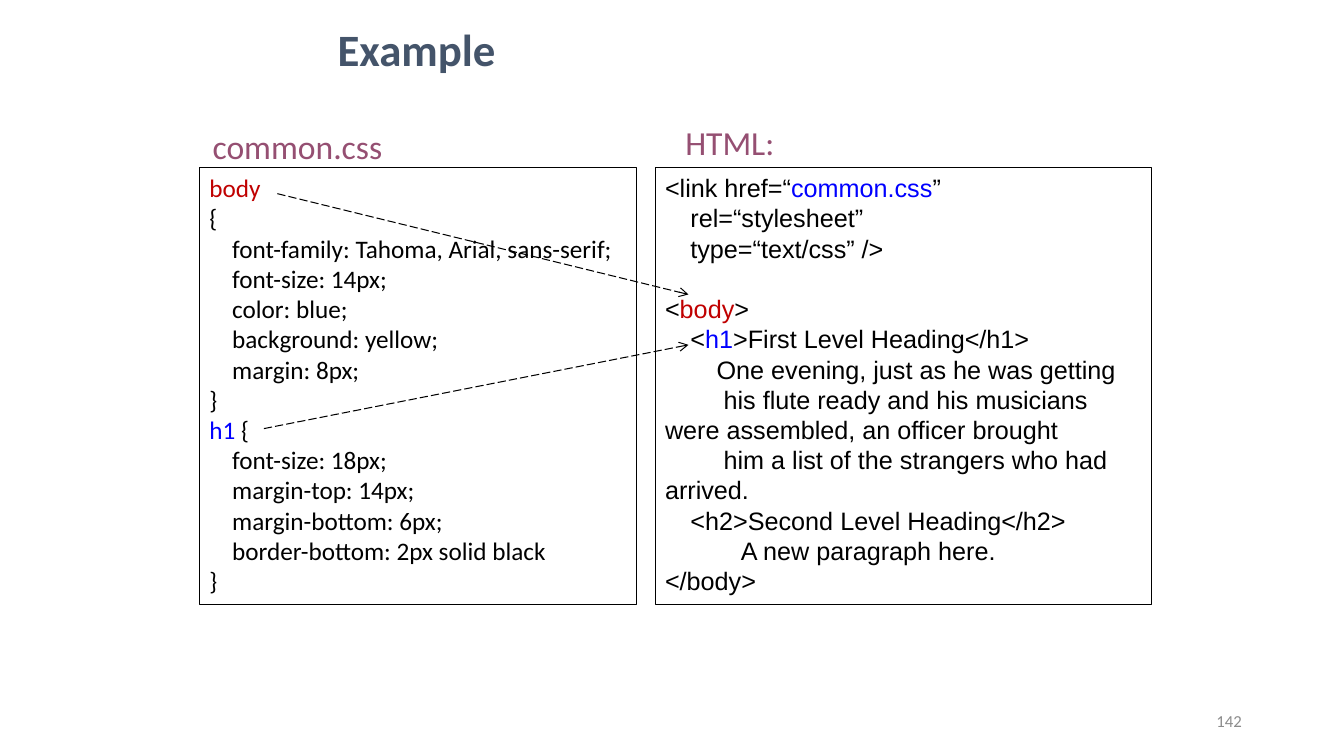
"""Build the slide that links a style sheet to its HTML page."""
from lxml import etree
from pptx import Presentation
from pptx import util as u
from pptx.dml.color import RGBColor
from pptx.enum import dml, shapes, text
from pptx.oxml.ns import qn

COLORS = {
    "ink": "000000",
    "body": "C00000",
    "link": "0000FF",
    "label": "954F72",
    "title": "44546A",
    "number": "8C8C8C",
}
LINE_PITCH = u.Pt(21.6)
CODE_TABS = (0.64, 1.27, 1.91)
STORY_TABS = (1.3, 2.54, 3.84, 5.08)

CSS = """body
{
    font-family: Tahoma, Arial, sans-serif;
    font-size: 14px;
    color: blue;
    background: yellow;
    margin: 8px;
}
h1 {
    font-size: 18px;
    margin-top: 14px;
    margin-bottom: 6px;
    border-bottom: 2px solid black
}"""
CSS_MARKS = {0: ("body", "body"), 8: ("h1", "link")}

HTML = """<link href=“common.css”
\trel=“stylesheet”
\ttype=“text/css” />
<body>
\t<h1>First Level Heading</h1>
\tOne evening, just as he was getting
\t his flute ready and his musicians \t were assembled, an officer brought
\t him a list of the strangers who had\tarrived.
\t<h2>Second Level Heading</h2>
\t\t\tA new paragraph here.
</body>"""
HTML_MARKS = {0: ("common.css", "link"), 3: ("body", "body"), 4: ("h1", "link")}
HTML_BODY = 3
HTML_STORY = (5, 6, 7)


def style_run(run, font_name, size, color, bold=False):
    """Set the font of one run."""
    run.font.name = font_name
    run.font.size = u.Pt(size)
    run.font.bold = bold
    run.font.color.rgb = RGBColor.from_string(COLORS[color])


def set_tabs(paragraph, stops):
    """Give a paragraph left tab stops, in centimetres."""
    tab_list = etree.SubElement(paragraph._p.get_or_add_pPr(), qn("a:tabLst"))
    for stop in stops:
        etree.SubElement(tab_list, qn("a:tab"), pos=str(u.Cm(stop)), algn="l")


def add_code(slide, left, width, code, marks, font_name):
    """Add a framed listing with marked words and return its paragraphs."""
    panel = slide.shapes.add_shape(
        shapes.MSO_SHAPE.RECTANGLE, u.Cm(left), u.Cm(4.22), u.Cm(width), u.Cm(11.02))
    panel.shadow.inherit = False
    panel.fill.background()
    panel.line.color.rgb = RGBColor.from_string(COLORS["ink"])
    panel.line.width = u.Pt(0.75)
    frame = panel.text_frame
    frame.word_wrap = True
    frame.vertical_anchor = text.MSO_ANCHOR.TOP
    frame.text = code
    for index, paragraph in enumerate(frame.paragraphs):
        paragraph.alignment = text.PP_ALIGN.LEFT
        paragraph.line_spacing = LINE_PITCH
        if index in marks:
            word, color = marks[index]
            before, word, after = paragraph.text.partition(word)
            paragraph.text = ""
            pieces = [(before, "ink"), (word, color), (after, "ink")]
            for piece, piece_color in pieces:
                if piece:
                    run = paragraph.add_run()
                    run.text = piece
                    style_run(run, font_name, 18, piece_color)
        else:
            style_run(paragraph.runs[0], font_name, 18, "ink")
    return frame.paragraphs


def add_label(slide, box, wording, size, color, bold=False, wrap=True,
              align=text.PP_ALIGN.LEFT, anchor=text.MSO_ANCHOR.TOP):
    """Add a one-line text box."""
    frame = slide.shapes.add_textbox(*map(u.Cm, box)).text_frame
    frame.word_wrap = wrap
    frame.vertical_anchor = anchor
    frame.text = wording
    paragraph = frame.paragraphs[0]
    paragraph.alignment = align
    style_run(paragraph.runs[0], "Calibri", size, color, bold)


def add_arrow(slide, start, end):
    """Add a dashed arrow from a selector to its element."""
    arrow = slide.shapes.add_connector(
        shapes.MSO_CONNECTOR.STRAIGHT, *map(u.Cm, start + end))
    arrow.line.color.rgb = RGBColor.from_string(COLORS["ink"])
    arrow.line.width = u.Pt(0.75)
    arrow.line.dash_style = dml.MSO_LINE.LONG_DASH
    etree.SubElement(arrow.line._get_or_add_ln(), qn("a:tailEnd"), type="arrow")
    etree.SubElement(arrow._element.spPr, qn("a:effectLst"))


def main():
    """Build and save the slide."""
    deck = Presentation()
    deck.slide_width, deck.slide_height = u.Cm(33.87), u.Cm(19.05)
    slide = deck.slides.add_slide(deck.slide_layouts[6])

    add_code(slide, 5.03, 11.02, CSS, CSS_MARKS, "Calibri")
    html_lines = add_code(slide, 16.51, 12.5, HTML, HTML_MARKS, "Arial")
    html_lines[HTML_BODY].space_before = LINE_PITCH
    for index, line in enumerate(html_lines):
        set_tabs(line, STORY_TABS if index in HTML_STORY else CODE_TABS)

    add_label(slide, (5.11, 3.05, 4.83, 1.27), "common.css", 24, "label", wrap=False)
    add_label(slide, (17.02, 2.95, 2.79, 1.27), "HTML:", 24, "label", wrap=False)
    add_label(slide, (8.26, 0.43, 21.16, 1.73), "Example", 32, "title", bold=True)
    add_label(slide, (23.93, 17.65, 7.62, 1.02), "142", 12, "number",
              align=text.PP_ALIGN.RIGHT, anchor=text.MSO_ANCHOR.MIDDLE)

    add_arrow(slide, (6.99, 4.88), (17.35, 7.42))
    add_arrow(slide, (6.65, 10.8), (17.35, 8.69))
    deck.save("out.pptx")


if __name__ == "__main__":
    main()
